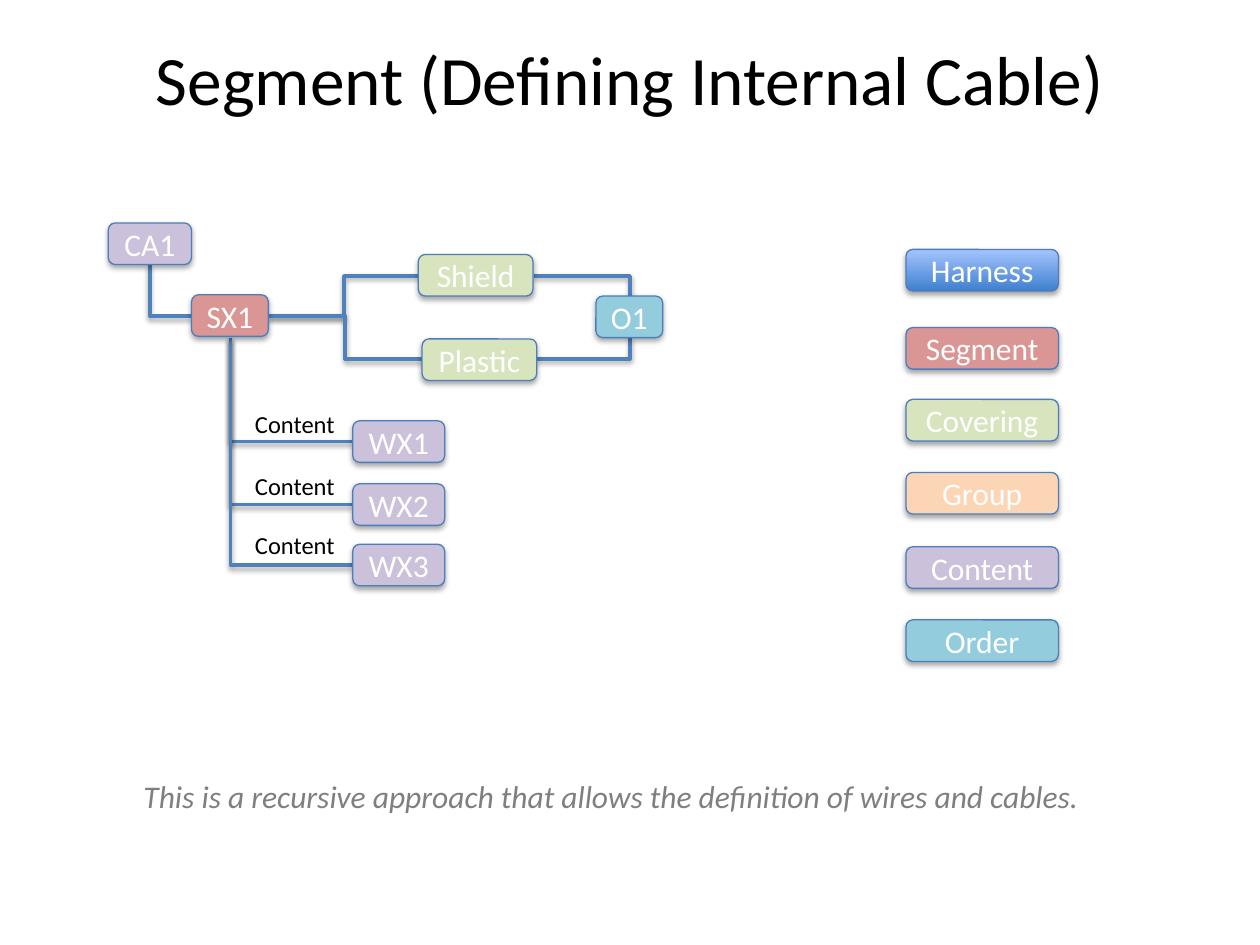
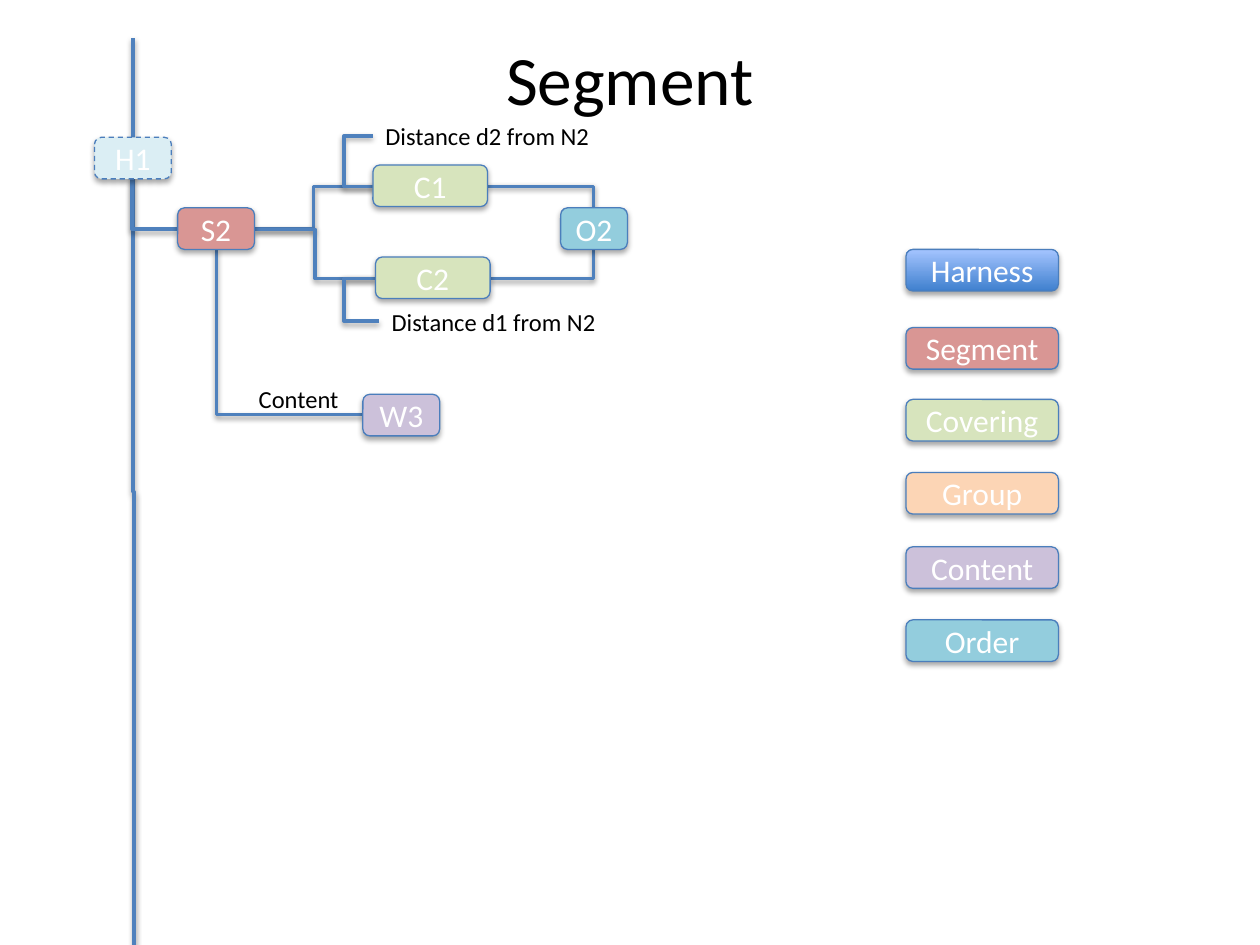
import pptx
import pptx.util
import pptx.dml.color
import pptx.enum.dml
import pptx.enum.shapes
import pptx.enum.text
import pptx.oxml
import pptx.oxml.ns

Inches = pptx.util.Inches
Pt = pptx.util.Pt
RGBColor = pptx.dml.color.RGBColor
qn = pptx.oxml.ns.qn
ALIGN = pptx.enum.text.PP_ALIGN
ANCHOR = pptx.enum.text.MSO_ANCHOR

BLACK = RGBColor(0x00, 0x00, 0x00)
WHITE = RGBColor(0xFF, 0xFF, 0xFF)
GRAY = RGBColor(0x7F, 0x7F, 0x7F)
BORDER = RGBColor(0x4B, 0x7E, 0xBC)
WIRE = RGBColor(0x4F, 0x81, 0xBD)
HARNESS_DARK = RGBColor(0x3F, 0x80, 0xCE)
HARNESS_LIGHT = RGBColor(0xA4, 0xC4, 0xFF)
SEGMENT = RGBColor(0xD9, 0x96, 0x94)
COVERING = RGBColor(0xD7, 0xE4, 0xBD)
GROUP = RGBColor(0xFC, 0xD5, 0xB5)
CONTENT = RGBColor(0xCC, 0xC1, 0xDA)
ORDER = RGBColor(0x93, 0xCD, 0xDD)
HARNESS_PALE = RGBColor(0xDB, 0xEE, 0xF4)

FONT = "Calibri"
NODE_HEIGHT = 0.33
LABEL_HEIGHT = 0.34
SHADOW = (
    '<a:effectLst xmlns:a="http://schemas.openxmlformats.org/drawingml/2006/main">'
    '<a:outerShdw blurRad="40000" dist="{dist}" dir="5400000" rotWithShape="0">'
    '<a:srgbClr val="000000"><a:alpha val="{alpha}"/></a:srgbClr>'
    '</a:outerShdw></a:effectLst>'
)


def add_text(slide, text, left, top, width, height=NODE_HEIGHT, fill=None, size=18,
             color=WHITE, align=ALIGN.CENTER, anchor=ANCHOR.MIDDLE, italic=False):
    """Add a rounded node when a fill is given, otherwise a plain text box."""
    place = [Inches(length) for length in (left, top, width, height)]
    if fill is None:
        holder = slide.shapes.add_textbox(*place)
    else:
        holder = slide.shapes.add_shape(
            pptx.enum.shapes.MSO_SHAPE.ROUNDED_RECTANGLE, *place)
        holder.fill.solid()
        holder.fill.fore_color.rgb = fill
        holder.line.color.rgb = BORDER
        holder.line.width = Pt(0.75)
    frame = holder.text_frame
    frame.word_wrap = False
    frame.vertical_anchor = anchor
    paragraph = frame.paragraphs[0]
    paragraph.alignment = align
    run = paragraph.add_run()
    run.text = text
    run.font.name = FONT
    run.font.size = Pt(size)
    run.font.italic = italic
    run.font.color.rgb = color
    return holder


def add_wire(slide, start, end, bend_x=None):
    """Leave start horizontally, turn at bend_x; without it, turn once above or below end."""
    wire = slide.shapes.add_connector(
        pptx.enum.shapes.MSO_CONNECTOR.ELBOW,
        *[Inches(length) for length in (*start, *end)])
    wire.line.color.rgb = WIRE
    wire.line.width = Pt(2)
    geometry = wire._element.spPr.find(qn("a:prstGeom"))
    if bend_x is None:
        geometry.set("prst", "bentConnector2")
    else:
        share = round((bend_x - start[0]) / (end[0] - start[0]) * 100000)
        guide = geometry.find(qn("a:avLst")).makeelement(
            qn("a:gd"), {"name": "adj1", "fmla": f"val {share}"})
        geometry.find(qn("a:avLst")).append(guide)
    return wire


deck = pptx.Presentation()
deck.slide_width = Inches(10)
deck.slide_height = Inches(7.5)

# Title and legend on both slides
legend = [
    ("Harness", 1.98, HARNESS_DARK),
    ("Segment", 2.6, SEGMENT),
    ("Covering", 3.17, COVERING),
    ("Group", 3.75, GROUP),
    ("Content", 4.34, CONTENT),
    ("Order", 4.92, ORDER),
]
for title in ("Segment (Defining Internal Cable)", "Segment"):
    slide = deck.slides.add_slide(deck.slide_layouts[6])
    add_text(slide, title, 0.5, 0.3, 9, 0.63, size=39.6, color=BLACK)
    for kind, top, fill in legend:
        entry = add_text(slide, kind, 7.19, top, 1.21, fill=fill)
        if kind == "Harness":
            entry.fill.gradient()
            entry.fill.gradient_angle = 90
            for stop, shade in zip(entry.fill.gradient_stops, (HARNESS_DARK, HARNESS_LIGHT)):
                stop.color.rgb = shade
cable, segment = deck.slides

# Slide 1: wires of the cable
add_wire(cable, (1.52, 2.51), (1.19, 2.1))
add_wire(cable, (2.13, 2.51), (3.32, 2.19), 2.73)
add_wire(cable, (2.13, 2.51), (3.35, 2.85), 2.74)
add_wire(cable, (4.24, 2.19), (5, 2.35))
add_wire(cable, (4.26, 2.85), (5, 2.68))

# Slide 1: the three content wires
for name, top, label_top in (("WX1", 3.34, 3.2), ("WX2", 3.84, 3.69), ("WX3", 4.32, 4.16)):
    add_wire(cable, (2.8, top + NODE_HEIGHT / 2), (1.83, 2.68))
    add_text(cable, name, 2.8, top, 0.73, fill=CONTENT)
    add_text(cable, "Content", 1.92, label_top, 0.84, LABEL_HEIGHT,
             size=14, color=BLACK, anchor=ANCHOR.TOP)

# Slide 1: nodes and remark
for name, left, top, width, fill in (
    ("CA1", 0.86, 1.77, 0.66, CONTENT),
    ("SX1", 1.52, 2.34, 0.61, SEGMENT),
    ("Shield", 3.32, 2.02, 0.91, COVERING),
    ("Plastic", 3.35, 2.69, 0.91, COVERING),
    ("O1", 4.73, 2.35, 0.53, ORDER),
):
    add_text(cable, name, left, top, width, fill=fill)
add_text(cable, "This is a recursive approach that allows the definition of wires and cables.",
         1.04, 6.12, 7.89, 0.4, color=GRAY, align=ALIGN.LEFT, anchor=ANCHOR.TOP, italic=True)

# Slide 2: harness trunk, a level elbow turned upright
trunk = add_wire(segment, (4.66, 3.9), (-2.54, 3.91), 1.06)
trunk._element.spPr.find(qn("a:xfrm")).set("rot", str(270 * 60000))

# Slide 2: wires of the segment
add_wire(segment, (1.41, 1.82), (1.05, 1.42))
add_wire(segment, (2.88, 3.29), (1.72, 1.98))
add_wire(segment, (2.02, 1.82), (2.96, 1.48), 2.49)
add_wire(segment, (2.02, 1.82), (2.98, 2.21), 2.5)
add_wire(segment, (2.98, 1.48), (2.96, 1.08), 2.73)
add_wire(segment, (2.98, 2.21), (3.01, 2.55), 2.73)
add_wire(segment, (3.87, 1.48), (4.71, 1.65))
add_wire(segment, (3.89, 2.21), (4.71, 1.98))

# Slide 2: nodes
for name, left, top, width, fill in (
    ("H1", 0.75, 1.09, 0.61, HARNESS_PALE),
    ("S2", 1.41, 1.65, 0.61, SEGMENT),
    ("W3", 2.88, 3.13, 0.61, CONTENT),
    ("C1", 2.96, 1.31, 0.91, COVERING),
    ("C2", 2.98, 2.04, 0.91, COVERING),
    ("O2", 4.45, 1.65, 0.53, ORDER),
):
    node = add_text(segment, name, left, top, width, fill=fill)
    if name == "H1":
        node.line.dash_style = pptx.enum.dml.MSO_LINE.DASH

# Slide 2: wire labels
for label, left, top, width, align in (
    ("Content", 1.95, 3, 0.84, ALIGN.CENTER),
    ("Distance d2 from N2", 2.96, 0.91, 1.82, ALIGN.LEFT),
    ("Distance d1 from N2", 3.01, 2.39, 1.82, ALIGN.LEFT),
):
    add_text(segment, label, left, top, width, LABEL_HEIGHT,
             size=14, color=BLACK, align=align, anchor=ANCHOR.TOP)

# Soft shadow under every node and wire
for slide in deck.slides:
    for part in slide.shapes:
        if part.shape_type == pptx.enum.shapes.MSO_SHAPE_TYPE.TEXT_BOX:
            continue
        is_node = part.has_text_frame
        shadow = SHADOW.format(dist=23000 if is_node else 20000,
                               alpha=35000 if is_node else 38000)
        part._element.spPr.append(pptx.oxml.parse_xml(shadow))

deck.save("out.pptx")
